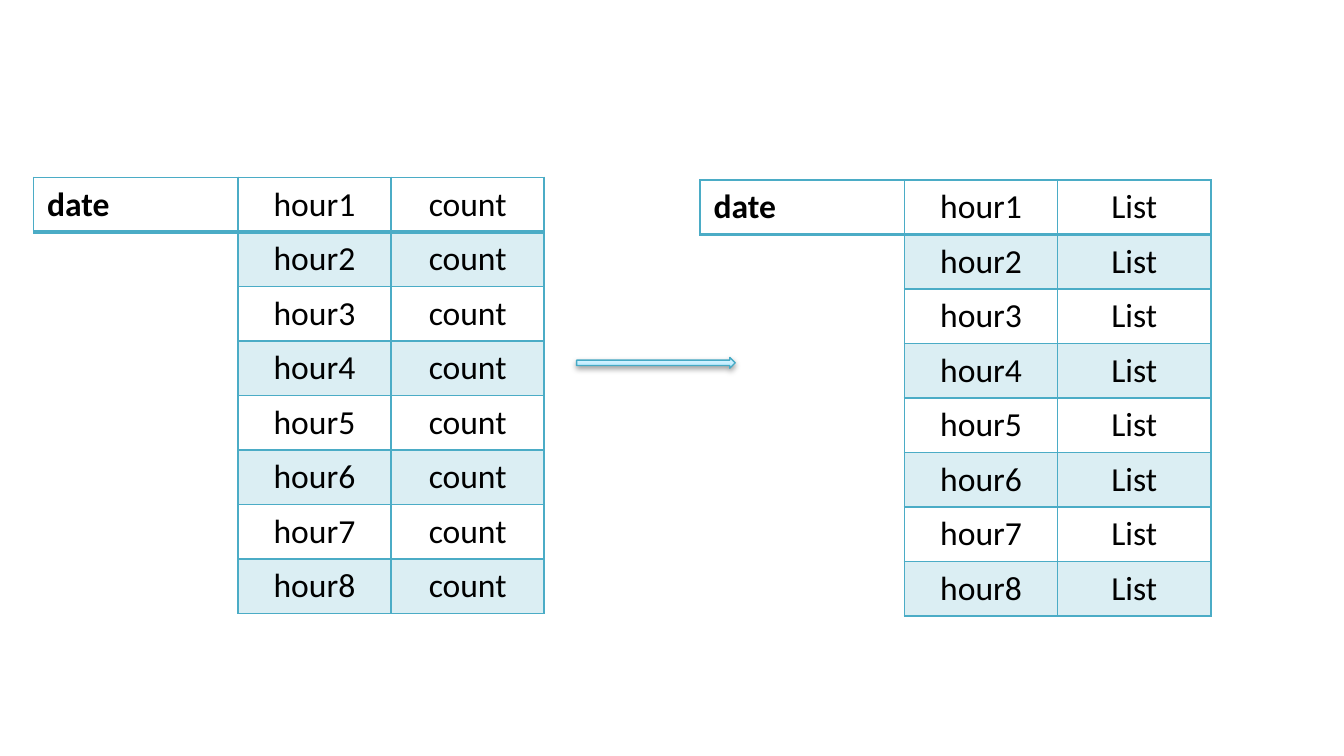
from lxml import etree
from pptx import Presentation
from pptx.dml.color import RGBColor
from pptx.enum.shapes import MSO_SHAPE
from pptx.enum.text import PP_ALIGN
from pptx.oxml import parse_xml
from pptx.oxml.ns import nsdecls, qn
from pptx.util import Inches, Pt

RIGHT_ARROW = MSO_SHAPE.RIGHT_ARROW
LEFT, CENTER = PP_ALIGN.LEFT, PP_ALIGN.CENTER

COLORS = {
    "teal": "4BACC6",
    "text": "000000",
    "arrow_line": "46AAC5",
    "shadow": "000000",
}
ARROW_STOPS = [(0, "A7E6FF"), (35, "C1EDFF"), (100, "E7F8FF")]
HOURS = 8
ROW_HEIGHT = Inches(3.24 / HOURS)
DATE_WIDTH, HOUR_WIDTH = Inches(1.52), Inches(1.14)


def style_cell(cell, text, align, bold, banded, heavy_top, heavy_bottom):
    cell.text = text
    paragraph = cell.text_frame.paragraphs[0]
    paragraph.alignment = align
    font = paragraph.runs[0].font
    font.name, font.size, font.bold = "Calibri", Pt(18), bold
    font.color.rgb = RGBColor.from_string(COLORS["text"])

    # Borders come before the fill in the cell properties
    properties = cell._tc.get_or_add_tcPr()
    widths = {"L": 1, "R": 1, "T": 2 if heavy_top else 1, "B": 2 if heavy_bottom else 1}
    for side, width in widths.items():
        properties.append(parse_xml(
            f'<a:ln{side} {nsdecls("a")} w="{Pt(width)}"><a:solidFill>'
            f'<a:srgbClr val="{COLORS["teal"]}"/></a:solidFill></a:ln{side}>'))

    if banded:
        cell.fill.solid()
        cell.fill.fore_color.rgb = RGBColor.from_string(COLORS["teal"])
        tint = properties.find(qn("a:solidFill")).find(qn("a:srgbClr"))
        etree.SubElement(tint, qn("a:alpha")).set("val", "20000")
    else:
        cell.fill.background()


def add_grid(rows, left, top, column_width, align, bold=False):
    width = column_width * len(rows[0])
    grid = slide.shapes.add_table(
        len(rows), len(rows[0]), left, top, width, ROW_HEIGHT * len(rows)).table
    grid.first_row = grid.horz_banding = False
    for column in grid.columns:
        column.width = column_width
    for r, row in enumerate(rows):
        grid.rows[r].height = ROW_HEIGHT
        for c, text in enumerate(row):
            style_cell(grid.cell(r, c), text, align, bold,
                       banded=r % 2 == 1, heavy_top=r == 1, heavy_bottom=r == 0)


# Widescreen slide, 16:9
presentation = Presentation()
presentation.slide_width = Inches(10)
presentation.slide_height = Inches(10 * 9 / 16)
slide = presentation.slides.add_slide(presentation.slide_layouts[6])

# Date with its hours: counts on the left, lists on the right
for value, left, top in [("count", 0.25, 1.32), ("List", 5.21, 1.34)]:
    hour_rows = [(f"hour{n}", value) for n in range(1, HOURS + 1)]
    add_grid(hour_rows, Inches(left) + DATE_WIDTH, Inches(top), HOUR_WIDTH, CENTER)
    add_grid([("date",)], Inches(left), Inches(top), DATE_WIDTH, LEFT, bold=True)

# Arrow from counts to lists
arrow = slide.shapes.add_shape(
    RIGHT_ARROW, Inches(4.29), Inches(2.66), Inches(1.18), Inches(0.08))
arrow.line.color.rgb = RGBColor.from_string(COLORS["arrow_line"])
arrow.line.width = Pt(0.75)

# Arrow gradient and soft shadow
stops = "".join(f'<a:gs pos="{position * 1000}"><a:srgbClr val="{color}"/></a:gs>'
                for position, color in ARROW_STOPS)
arrow_properties = arrow._element.spPr
arrow_properties.find(qn("a:prstGeom")).addnext(parse_xml(
    f'<a:gradFill {nsdecls("a")} rotWithShape="1"><a:gsLst>{stops}</a:gsLst>'
    f'<a:lin ang="{270 * 60000}" scaled="0"/></a:gradFill>'))
arrow.shadow.inherit = False
arrow_properties.find(qn("a:effectLst")).append(parse_xml(
    f'<a:outerShdw {nsdecls("a")} blurRad="{Pt(3.1)}" dist="{Pt(1.6)}" '
    f'dir="{90 * 60000}" rotWithShape="0"><a:srgbClr val="{COLORS["shadow"]}">'
    f'<a:alpha val="38000"/></a:srgbClr></a:outerShdw>'))

presentation.save("out.pptx")
